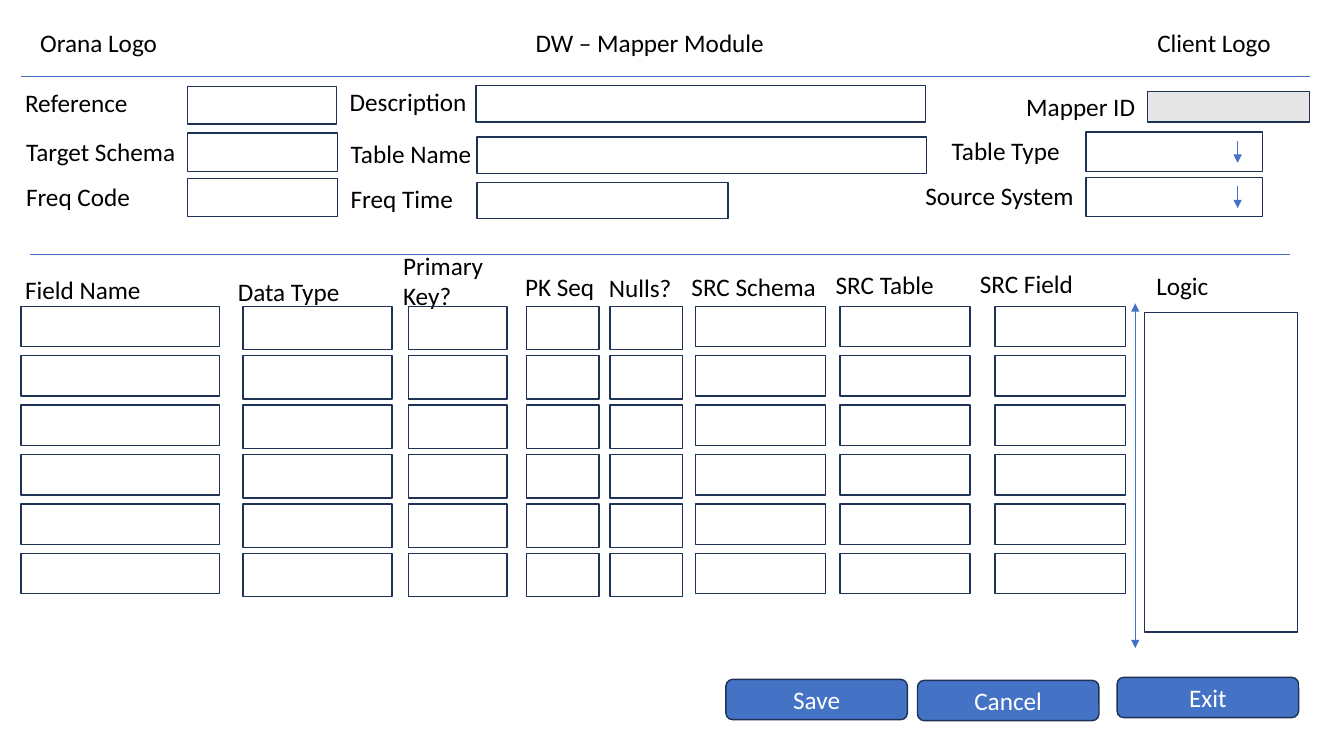
from lxml.etree import SubElement as Sub
from pptx import Presentation
from pptx.dml.color import RGBColor as Rgb
from pptx.enum.shapes import MSO_CONNECTOR as Conn, MSO_SHAPE as Kind
from pptx.enum.text import MSO_ANCHOR as Anchor, MSO_AUTO_SIZE as Fit, PP_ALIGN as Align
from pptx.oxml.ns import qn
from pptx.util import Inches, Pt

# The slide is a grid of square cells, 133.3 columns by 75 rows
CELL = Inches(0.1)
WIDE, HIGH = 133.3, 75
BLUE, NAVY, GREY, BLACK, WHITE = "4472C4", "1E3256", "E7E6E6", "000000", "FFFFFF"
FONT = {"name": "Calibri", "size": Pt(18), "bold": False}

# Labels: text, column, row, width
HEAD = [("Orana Logo", 3, 2.2, 19.6), ("Client Logo", 113.8, 2.2, 19.6)]
LABELS = [
    ("Reference", 1.5, 8.2, 12.3), ("Description", 33.7, 8.1, 13.8),
    ("Mapper ID", 100.8, 8.6, 13),
    ("Target Schema", 1.6, 13, 17), ("Table Name", 33.8, 13.2, 14.1),
    ("Table Type", 93.4, 12.9, 12.9),
    ("Freq Code", 1.6, 17.5, 12.4), ("Freq Time", 33.8, 17.7, 12.3),
    ("Source System", 90.8, 17.4, 16.9),
    ("Logic", 113.7, 26.3, 7.3),
]

# Entry boxes: column, row, width, height
ENTRIES = [
    (18.6, 8.6, 14.8, 3.7), (47.2, 8.5, 44.6, 3.6),
    (18.6, 13.2, 14.9, 3.8), (47.3, 13.6, 44.6, 3.6), (107.7, 13.1, 17.5, 3.9),
    (18.6, 17.7, 14.9, 3.8), (47.3, 18.1, 24.9, 3.6), (107.7, 17.6, 17.5, 3.9),
    (113.5, 31, 15.2, 31.7),
]

# Field columns: label, its column, row and width, then box column, width, height
FIELDS = [
    ("Field Name", 1.5, 26.7, 13.6, 2.1, 19.7, 4),
    ("Data Type", 22.6, 26.9, 12.2, 24.1, 14.8, 4.3),
    ("Primary\nKey?", 39, 24.3, 10.6, 40.5, 9.8, 4.3),
    ("PK Seq", 51.1, 26.4, 9, 52.2, 7.2, 4.3),
    ("Nulls?", 59.4, 26.5, 8.3, 60.5, 7.2, 4.3),
    ("SRC Schema", 67.6, 26.4, 14.5, 69, 12.9, 4),
    ("SRC Table", 81.9, 26.2, 11.9, 83.3, 12.9, 4),
    ("SRC Field", 96.2, 26.1, 11.4, 98.7, 12.9, 4),
]
TOP, STEP, COUNT = 30.4, 4.9, 6

BUTTONS = [("Save", 72, 67.4), ("Cancel", 91, 67.5), ("Exit", 110.8, 67.2)]


def grid(*cells):
    return [round(n * CELL) for n in cells]


def hue(code):
    return Rgb.from_string(code)


def apply(item, form):
    for key, value in form.items():
        setattr(item, key, value)


def write(shape, text, color=BLACK, align=Align.LEFT, **form):
    frame = shape.text_frame
    frame.text = text
    apply(frame, form)
    for para in frame.paragraphs:
        para.alignment = align
        for run in para.runs:
            apply(run.font, FONT)
            run.font.color.rgb = hue(color)


def label(slide, text, col, row, wide, wrap=False):
    high = 4 + 3.1 * text.count("\n")
    box = slide.shapes.add_textbox(*grid(col, row, wide, high))
    write(box, text, word_wrap=wrap, auto_size=Fit.SHAPE_TO_FIT_TEXT)


def box(slide, spot, fill=None, kind=Kind.RECTANGLE):
    shape = slide.shapes.add_shape(kind, *grid(*spot))
    shape.shadow.inherit = False
    if fill:
        shape.fill.solid()
        shape.fill.fore_color.rgb = hue(fill)
    else:
        shape.fill.background()
    shape.line.color.rgb = hue(NAVY)
    shape.line.width = Pt(1)
    return shape


def rule(slide, start, end, *tips):
    line = slide.shapes.add_connector(Conn.STRAIGHT, *grid(*start, *end))
    line.line.color.rgb = hue(BLUE)
    line.line.width = Pt(0.5)
    for tip in tips:
        Sub(line.line._get_or_add_ln(), qn(f"a:{tip}"), type="triangle")
    Sub(line._element.spPr, qn("a:effectLst"))


def button(slide, text, col, row):
    shape = box(slide, (col, row, 18, 4), BLUE, Kind.ROUNDED_RECTANGLE)
    write(shape, text, WHITE, Align.CENTER, vertical_anchor=Anchor.MIDDLE)


def header(slide):
    title = slide.shapes.title
    spot = grid(40.8, 2.2, 47.3, 4)
    apply(title, dict(zip(("left", "top", "width", "height"), spot)))
    write(title, "DW – Mapper Module", align=Align.CENTER, word_wrap=True,
          auto_size=Fit.NONE, vertical_anchor=Anchor.TOP)
    for item in HEAD:
        label(slide, *item, wrap=True)
    rule(slide, (2.1, 7.6), (129.9, 7.6))


def form(slide):
    for spot in ENTRIES:
        box(slide, spot)
    box(slide, (113.8, 9.1, 16.1, 3), GREY)
    for item in LABELS:
        label(slide, *item)
    # Drop-down marks
    for row in (14, 18.5):
        rule(slide, (122.75, row), (122.75, row + 2.15), "tailEnd")
    rule(slide, (3, 25.2), (127.9, 25.2))


def fields(slide):
    for text, col, row, wide, left, span, high in FIELDS:
        label(slide, text, col, row, wide)
        for i in range(COUNT):
            box(slide, (left, TOP + i * STEP, span, high))
    # Scroll bar
    rule(slide, (112.6, 30.1), (112.6, 64.3), "headEnd", "tailEnd")


def main():
    deck = Presentation()
    deck.slide_width, deck.slide_height = grid(WIDE, HIGH)
    slide = deck.slides.add_slide(deck.slide_layouts[5])
    header(slide)
    form(slide)
    fields(slide)
    for item in BUTTONS:
        button(slide, *item)
    deck.save("out.pptx")


if __name__ == "__main__":
    main()
